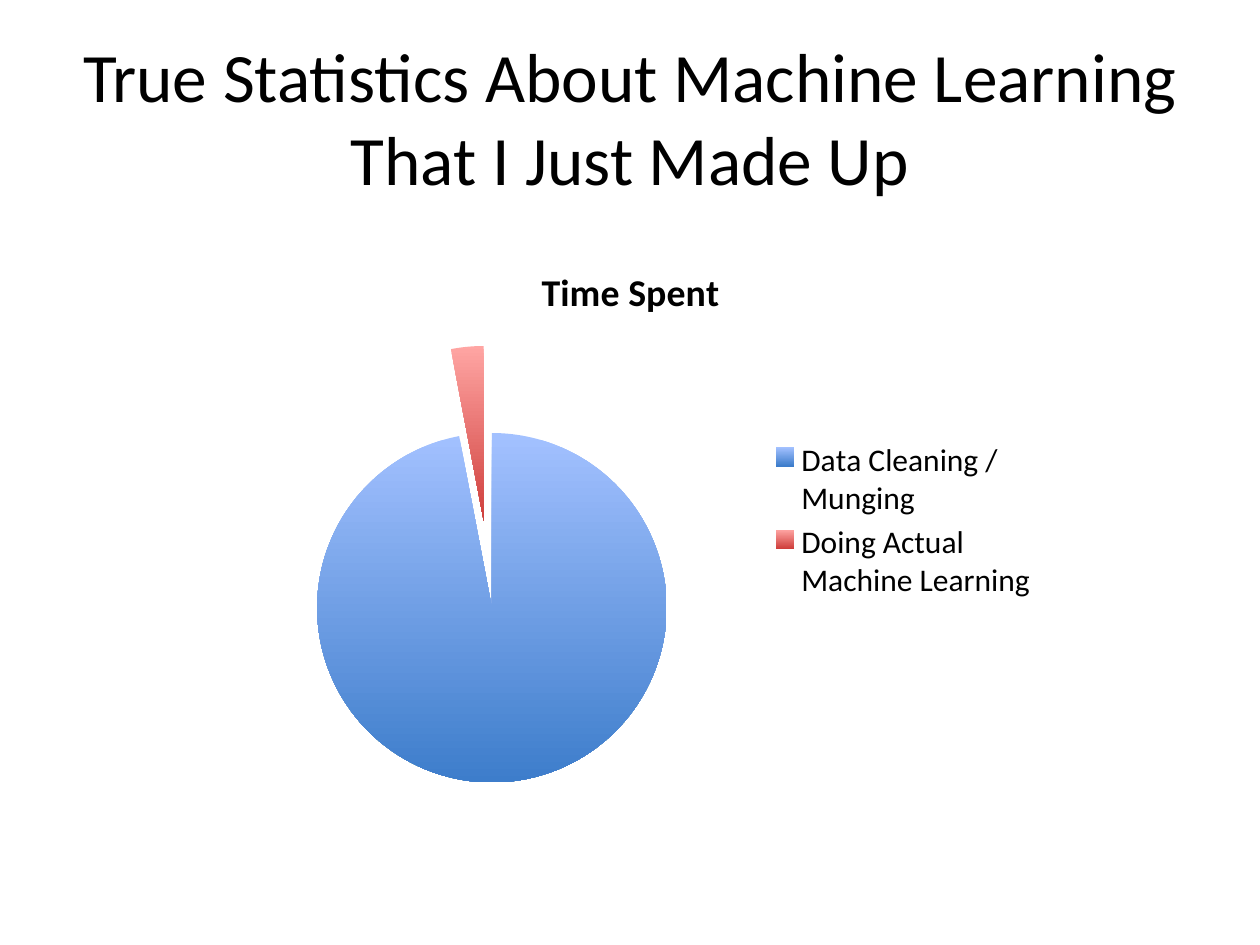
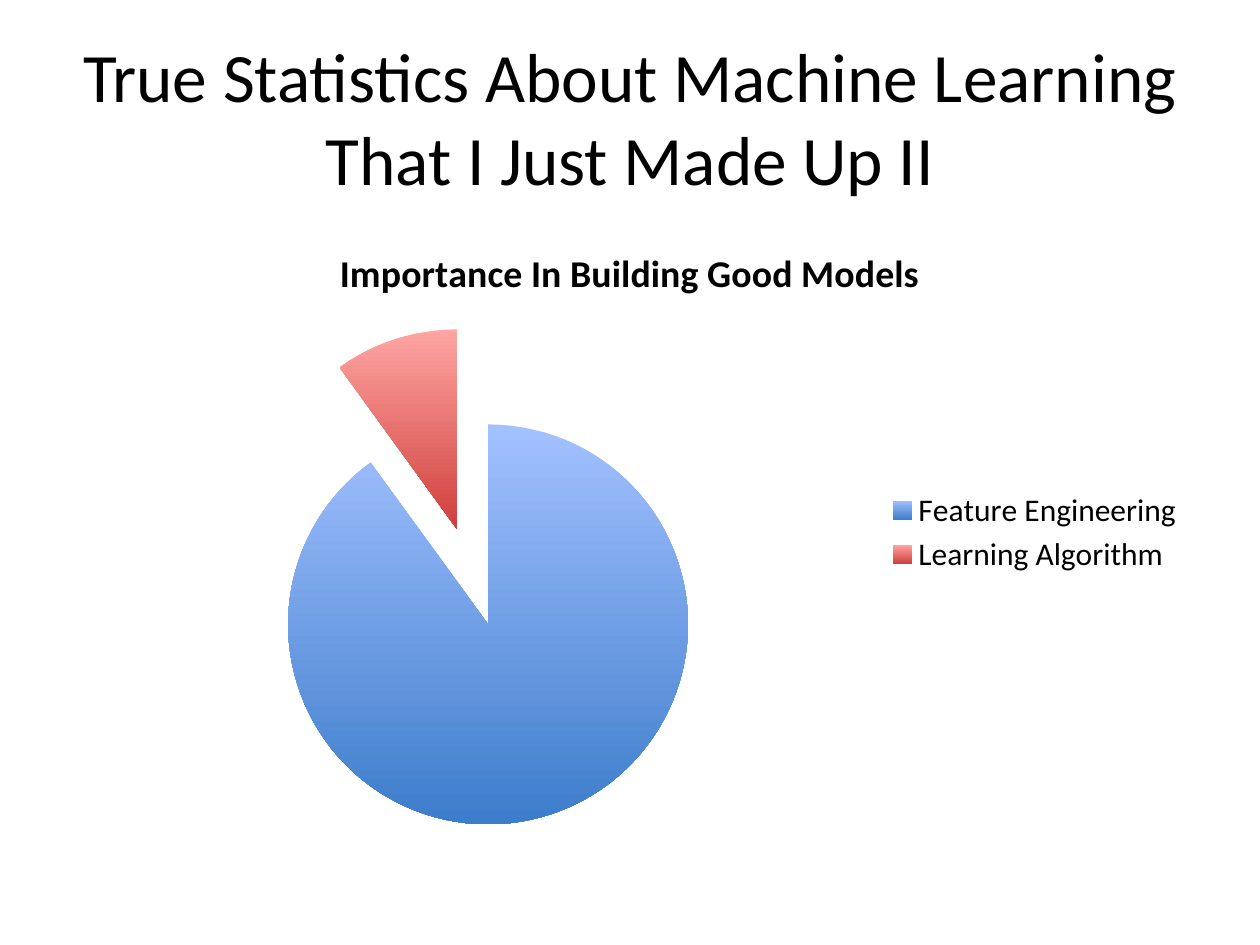
from pptx import Presentation
from pptx.chart.data import CategoryChartData
from pptx.dml.color import RGBColor
from pptx.enum.chart import XL_CHART_TYPE, XL_LEGEND_POSITION
from pptx.enum.text import MSO_ANCHOR, PP_ALIGN
from pptx.oxml import parse_xml
from pptx.oxml.ns import nsdecls
from pptx.util import Inches, Pt

PIE = XL_CHART_TYPE.PIE
RIGHT = XL_LEGEND_POSITION.RIGHT
MIDDLE = MSO_ANCHOR.MIDDLE
CENTER = PP_ALIGN.CENTER

BLACK = RGBColor(0x00, 0x00, 0x00)
BLUES = (RGBColor(0xA3, 0xC1, 0xFF), RGBColor(0x3D, 0x7D, 0xCB))
REDS = (RGBColor(0xFF, 0xA5, 0xA3), RGBColor(0xCF, 0x3F, 0x3C))
FONT = "Calibri"
EXPLODE = 25


class Deck:
    """Holds the shared style and the current slide."""

    def __init__(self):
        self.prs = Presentation()
        self.prs.slide_width = Inches(10)
        self.prs.slide_height = Inches(7.5)

    def add_slide(self):
        self.slide = self.prs.slides.add_slide(self.prs.slide_layouts[6])

    def style(self, font, size, bold=False):
        font.name = FONT
        font.size = Pt(size)
        font.bold = bold
        font.color.rgb = BLACK

    def title(self, text):
        box = self.slide.shapes.add_textbox(
            Inches(0.5), Inches(0.3), Inches(9), Inches(1.25))
        frame = box.text_frame
        frame.word_wrap = True
        frame.vertical_anchor = MIDDLE
        frame.text = text
        para = frame.paragraphs[0]
        para.alignment = CENTER
        self.style(para.runs[0].font, 39.6)

    def pie(self, place, heading, name, shares):
        data = CategoryChartData()
        data.categories = list(shares)
        data.add_series(name, list(shares.values()))
        area = [Inches(length) for length in place]
        chart = self.slide.shapes.add_chart(PIE, *area, data).chart
        self.style(chart.font, 18)

        # Heading and legend
        chart.has_title = True
        frame = chart.chart_title.text_frame
        frame.text = heading
        self.style(frame.paragraphs[0].runs[0].font, 21.6, bold=True)
        chart.chart_title.include_in_layout = False
        chart.has_legend = True
        chart.legend.position = RIGHT
        chart.legend.include_in_layout = False

        # Slices shaded from top to bottom
        plot = chart.plots[0]
        plot.vary_by_categories = True
        for index, shades in enumerate((BLUES, REDS)):
            fill = plot.series[0].points[index].format.fill
            fill.gradient()
            fill.gradient_angle = 270
            for stop, shade in zip(fill.gradient_stops, shades):
                stop.color.rgb = shade

        # Pull the slices apart, for the series and for each point
        root = chart.element if hasattr(chart, "element") else chart._chartSpace
        for node in root.xpath(".//c:ser/c:dPt[1] | .//c:dPt/c:spPr"):
            node.addprevious(parse_xml(
                f'<c:explosion {nsdecls("c")} val="{EXPLODE}"/>'))


def main():
    deck = Deck()

    # Time spent
    deck.add_slide()
    deck.title("True Statistics About Machine Learning That I Just Made Up")
    deck.pie((1.67, 1.91, 6.67, 4.44), "Time Spent", "Time Spent",
             {"Data Cleaning / Munging": 97,
              "Doing Actual Machine Learning": 3})

    # Importance for models
    deck.add_slide()
    deck.title("True Statistics About Machine Learning That I Just Made Up II")
    deck.pie((0.5, 1.75, 9, 4.95), "Importance In Building Good Models",
             "Series 1",
             {"Feature Engineering": 90, "Learning Algorithm": 10})

    deck.prs.save("out.pptx")


if __name__ == "__main__":
    main()
